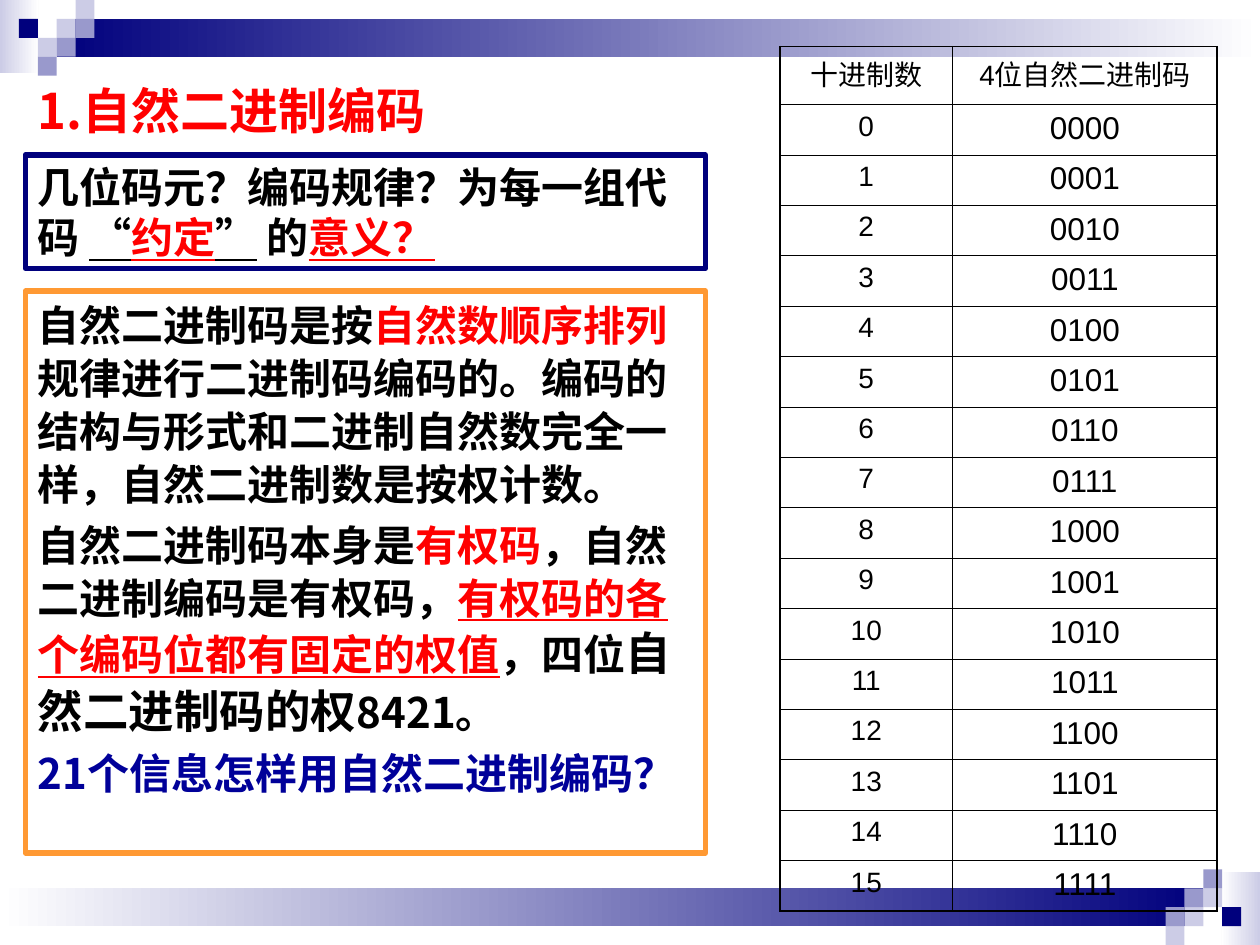
"""Build a slide on natural binary coding with a table of 4-bit codes."""
from pptx import Presentation
from pptx import util as u
from pptx.enum import lang, shapes, text
from pptx.dml.color import RGBColor
from pptx.oxml import parse_xml
from pptx.oxml.ns import nsdecls

HUE = {"navy": "00007D", "mid": "9999CC", "pale": "CCCCE6", "white": "FFFFFF",
       "red": "FF0000", "black": "000000", "blue": "000099", "gold": "FF9933"}
UNIT = 0.15
WIDE, HIGH = 10, 7.5
CJK = "Noto Sans CJK SC"


def tint(name):
    return RGBColor.from_string(HUE[name])


def write(frame, paras, face, size, **form):
    frame.word_wrap = True
    frame.auto_size = text.MSO_AUTO_SIZE.NONE
    frame.vertical_anchor = text.MSO_ANCHOR.TOP
    for i, runs in enumerate(paras):
        para = frame.paragraphs[0] if i == 0 else frame.add_paragraph()
        props = para._p.get_or_add_pPr()
        props.set("marL", "0")
        props.set("indent", "0")
        props.append(parse_xml(f"<a:buNone {nsdecls('a')}/>"))
        look = {"alignment": text.PP_ALIGN.LEFT, "line_spacing": 1.0,
                "space_before": u.Pt(4.5 if i else 0), **form}
        for key, val in look.items():
            setattr(para, key, val)
        for words, hue, *more in runs:
            run = para.add_run()
            run.text = words
            font = {"name": face, "size": u.Pt(size), "bold": face == CJK,
                    "language_id": lang.MSO_LANGUAGE_ID.SIMPLIFIED_CHINESE}
            font.update(*more)
            for key, val in font.items():
                setattr(run.font, key, val)
            run.font.color.rgb = tint(hue)
            run._r.get_or_add_rPr().append(
                parse_xml(f'<a:ea {nsdecls("a")} typeface="{CJK}"/>'))


deck = Presentation()
deck.slide_width, deck.slide_height = u.Inches(WIDE), u.Inches(HIGH)
slide = deck.slides.add_slide(deck.slide_layouts[1])

decor = [(0, 0, 2.05, 3.85, "pale", True), (3, 1, WIDE / UNIT - 3, 2, "navy", True),
         (3, 1, 1, 1, "pale", False), (4, 0, 1, 1, "pale", False),
         (4, 1, 1, 1, "mid", False), (2, 2, 1, 1, "pale", False),
         (1, 1, 1, 1, "navy", False), (3, 2, 1, 1, "mid", False),
         (2, 3, 1, 1, "mid", False)]
for turn in (0, 180):
    for col, row, *span, hue, fade in decor:
        x, y, w, h = (n * UNIT for n in (col, row, *span))
        if turn:
            x, y = WIDE - x - w, HIGH - y - h
        tile = slide.shapes.add_shape(shapes.MSO_SHAPE.RECTANGLE,
                                      *map(u.Inches, (x, y, w, h)))
        tile.rotation = turn
        tile.shadow.inherit = False
        tile.line.fill.background()
        if fade:
            tile.fill.gradient()
            tile.fill.gradient_angle = 0
            for stop, end, place in zip(tile.fill.gradient_stops, (hue, "white"), (0, 1)):
                stop.color.rgb = tint(end)
                stop.position = place
        else:
            tile.fill.solid()
            tile.fill.fore_color.rgb = tint(hue)

left, wide = 0.02 * WIDE, 0.54 * WIDE
line = {"underline": True}
title, body = slide.shapes.title, slide.placeholders[1]
ask = slide.shapes.add_shape(shapes.MSO_SHAPE.RECTANGLE, 0, 0, 0, 0)
ask.shadow.inherit = False
ask.fill.background()
for box, top, w, h in [(title, 0.59, 4.49, 0.57), (ask, 1.23, wide, 0.9),
                       (body, 2.31, wide, 4.46)]:
    area = {"left": left, "top": top, "width": w, "height": h}
    for key, val in area.items():
        setattr(box, key, u.Inches(val))
for box, hue in [(ask, "navy"), (body, "gold")]:
    box.line.color.rgb = tint(hue)
    box.line.width = u.Pt(3)

write(title.text_frame, [[("1.自然二进制编码", "red")]], CJK, 28)
write(ask.text_frame, [[
    ("几位码元？编码规律？为每一组代码 ", "black"), ("“", "black", line),
    ("约定", "red", line), ("”", "black", line), (" 的", "black"),
    ("意义？", "red", line)]], CJK, 24)
write(body.text_frame, [
    [("自然二进制码是按", "black"), ("自然数顺序排列", "red"),
     ("规律进行二进制码编码的。编码的结构与形式和二进制自然数完全一样，"
      "自然二进制数是按权计数。", "black")],
    [("自然二进制码本身是", "black"), ("有权码", "red"),
     ("，自然二进制编码是有权码，", "black"),
     ("有权码的各个编码位都有固定的权值", "red", line), ("，四位", "black"),
     ("自然二进制码的权", "black", {"size": u.Pt(26)}), ("8421。", "black")],
    [("21个信息怎样用自然二进制编码？", "blue")]], CJK, 24, line_spacing=1.05)

rows = [("十进制数", "4位自然二进制码")] + [(str(n), f"{n:04b}") for n in range(16)]
grid = slide.shapes.add_table(len(rows), 2, *map(u.Inches, (6.19, 0.37, 3.47, 6.9))).table
grid.first_row = grid.horz_banding = False
for col, w in zip(grid.columns, (1.37, 2.1)):
    col.width = u.Inches(w)
for r, pair in enumerate(rows):
    grid.rows[r].height = u.Inches(0.4 if r else 0.46)
    for c, words in enumerate(pair):
        cell = grid.cell(r, c)
        write(cell.text_frame, [[(words, "black")]], "Arial", 18 if r and c else 16,
              alignment=text.PP_ALIGN.CENTER)
        props = cell._tc.get_or_add_tcPr()
        edges = {"lnL": c == 0, "lnR": c == 1, "lnT": r == 0, "lnB": r == len(rows) - 1}
        for tag, outer in edges.items():
            props.append(parse_xml(
                f'<a:{tag} {nsdecls("a")} w="{u.Pt(1.08 if outer else 0.45)}"><a:solidFill>'
                f'<a:srgbClr val="{HUE["black"]}"/></a:solidFill></a:{tag}>'))
        cell.fill.background()

deck.save("out.pptx")
